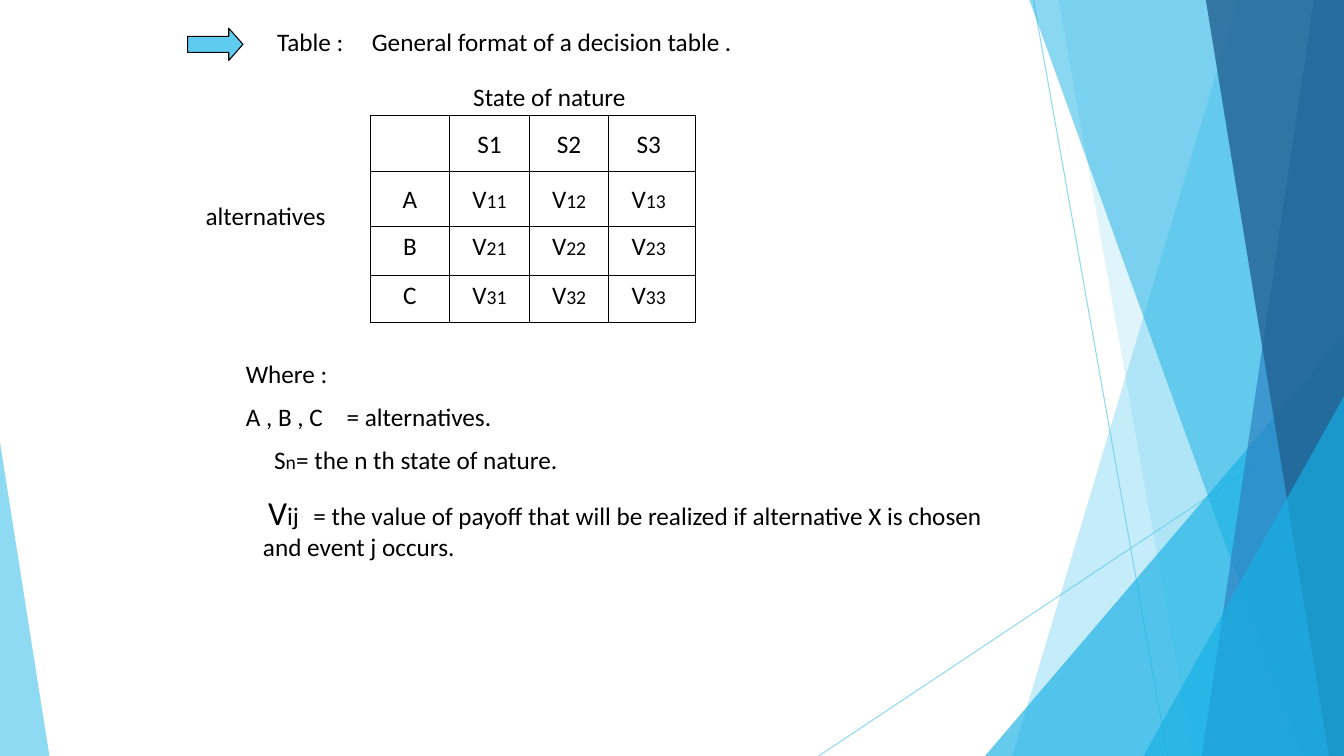
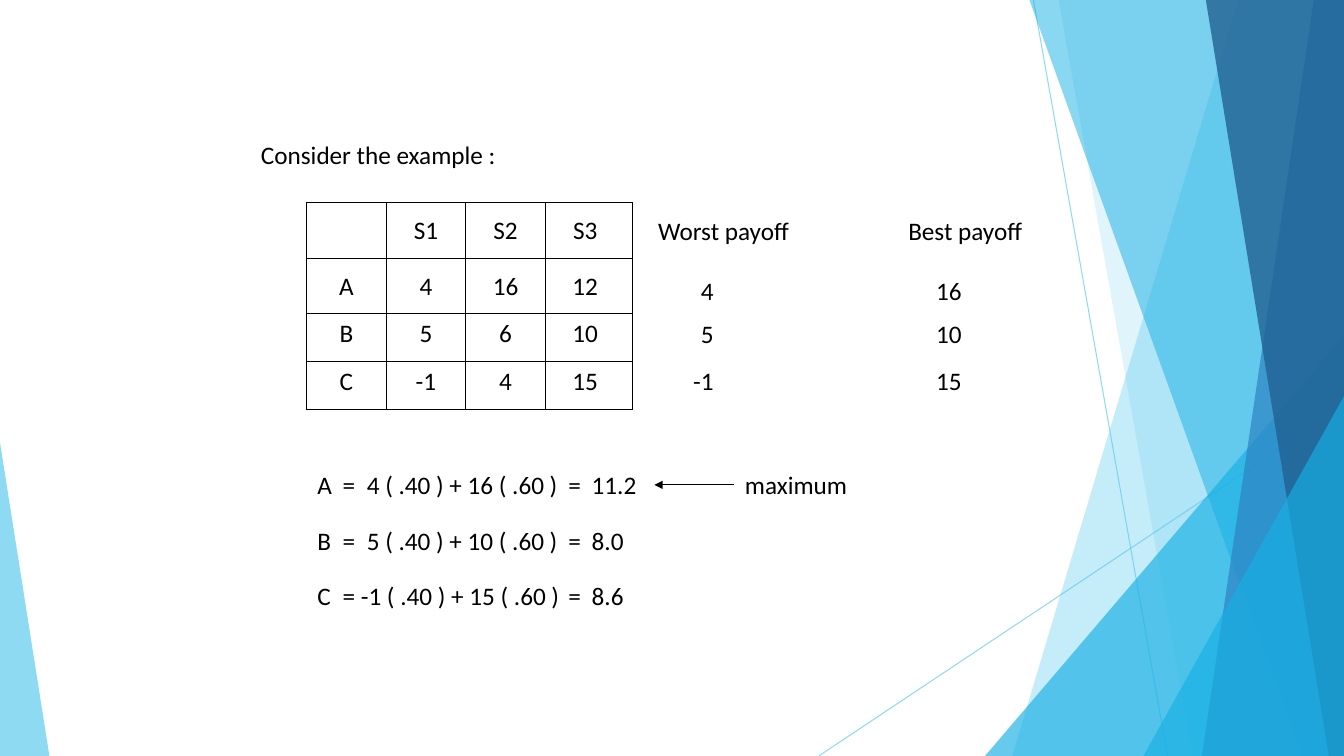
import pptx
import pptx.util
import pptx.dml.color
import pptx.enum.shapes
import pptx.enum.text
import pptx.oxml
import pptx.oxml.ns
from lxml import etree

Inches = pptx.util.Inches
Pt = pptx.util.Pt
RGBColor = pptx.dml.color.RGBColor
SHAPES = pptx.enum.shapes.MSO_SHAPE
STRAIGHT = pptx.enum.shapes.MSO_CONNECTOR.STRAIGHT
CENTER = pptx.enum.text.PP_ALIGN.CENTER
qn = pptx.oxml.ns.qn

SKY = RGBColor(0x5F, 0xCB, 0xEF)
CYAN = RGBColor(0x17, 0xB0, 0xE4)
BLUE = RGBColor(0x2E, 0x83, 0xC3)
NAVY = RGBColor(0x22, 0x62, 0x92)
BLACK = RGBColor(0, 0, 0)
FONT = "Calibri"
BODY, SMALL, LARGE = 18, 14, 24
WIDTH, HEIGHT = 13.33, 7.5


def write(paragraph, runs, tabs=()):
    """Fill a paragraph with (text, size) runs; tabs are (inches, alignment)."""
    if tabs:
        stops = etree.SubElement(paragraph._p.get_or_add_pPr(), qn("a:tabLst"))
        for position, side in tabs:
            etree.SubElement(stops, qn("a:tab"), pos=str(Inches(position)), algn=side)
    for text, size in runs:
        run = paragraph.add_run()
        run.text = text
        run.font.name = FONT
        run.font.size = Pt(size)
        run.font.color.rgb = BLACK


def add_label(slide, left, top, width, text, tabs=()):
    """Add a one-line text box and return its text frame."""
    box = slide.shapes.add_textbox(Inches(left), Inches(top), Inches(width), Inches(0.4))
    box.text_frame.word_wrap = True
    write(box.text_frame.paragraphs[0], [(text, BODY)], tabs)
    return box.text_frame


deck = pptx.Presentation()
deck.slide_width, deck.slide_height = Inches(WIDTH), Inches(HEIGHT)
blank = deck.slide_layouts[6]
format_slide = deck.slides.add_slide(blank)
example_slide = deck.slides.add_slide(blank)

# Facets shared by both slides: drawn once, then moved to the layout
facets = []
for x1, y1, x2, y2 in [(10.25, 0, 11.58, HEIGHT), (WIDTH, 4.03, 8.12, HEIGHT)]:
    ray = format_slide.shapes.add_connector(
        STRAIGHT, Inches(x1), Inches(y1), Inches(x2), Inches(y2))
    ray.line.width = Pt(0.75)
    facets.append((ray, ray.line.fill, SKY, 70))

# A band is (top x, bottom x) up to the right edge;
# a triangle is (left, top, width, apex)
for outline, colour, opacity in [
    ((12.28, 10.04), SKY, 36),
    ((10.5, 11.83), SKY, 20),
    ((9.77, 3.33, 3.56, 1), CYAN, 66),
    ((10.21, 12.91), CYAN, 50),
    ((13.03, 11.92), BLUE, 70),
    ((11.96, 13.18), NAVY, 80),
    ((11.34, 3.93, 1.99, 1), CYAN, 66),
    ((0, 4.39, 0.49, 0), SKY, 70),
]:
    if len(outline) == 2:
        top_x, bottom_x = outline
        builder = format_slide.shapes.build_freeform(Inches(top_x), 0)
        builder.add_line_segments([
            (Inches(WIDTH), 0), (Inches(WIDTH), Inches(HEIGHT)),
            (Inches(bottom_x), Inches(HEIGHT))])
        facet = builder.convert_to_shape()
    else:
        left, top, width, apex = outline
        facet = format_slide.shapes.add_shape(
            SHAPES.ISOSCELES_TRIANGLE, Inches(left), Inches(top),
            Inches(width), Inches(HEIGHT - top))
        facet.adjustments[0] = apex
    facet.shadow.inherit = False
    facet.line.fill.background()
    facets.append((facet, facet.fill, colour, opacity))

for facet, fill, colour, opacity in facets:
    fill.solid()
    fill.fore_color.rgb = colour
    shade = next(facet.element.iter(qn("a:srgbClr")))
    etree.SubElement(shade, qn("a:alpha"), val=str(opacity * 1000))
    if facet.element.tag == qn("p:cxnSp"):
        etree.SubElement(facet.element.spPr, qn("a:effectLst"))
    blank.shapes.element.append(facet.element)

# Decision tables
states = ["S1", "S2", "S3"]
values = [[f"V{row}{column}" for column in (1, 2, 3)] for row in (1, 2, 3)]
payoffs = [["4", "16", "12"], ["5", "6", "10"], ["-1", "4", "15"]]
column_widths = [0.79, 0.79, 0.79, 0.86]
row_heights = [0.55, 0.55, 0.48, 0.47]

for slide, left, top, body in [
    (format_slide, 3.67, 1.15, values),
    (example_slide, 3.04, 2.01, payoffs),
]:
    table = slide.shapes.add_table(
        4, 4, Inches(left), Inches(top),
        Inches(sum(column_widths)), Inches(sum(row_heights))).table
    table.first_row = table.horz_banding = False
    for column, width in zip(table.columns, column_widths):
        column.width = Inches(width)
    for row, height in zip(table.rows, row_heights):
        row.height = Inches(height)
    rows = [[""] + states] + [[name] + line for name, line in zip("ABC", body)]
    for r, line in enumerate(rows):
        for c, text in enumerate(line):
            cell = table.cell(r, c)
            cell.margin_top = Inches(0.13 if r < 2 else 0.05)
            cell.margin_right = Inches(0.17 if c == 3 else 0.1)
            for side in ("lnL", "lnR", "lnT", "lnB"):
                border = etree.SubElement(
                    cell._tc.get_or_add_tcPr(), qn("a:" + side), w=str(Pt(0.75)))
                ink = etree.SubElement(border, qn("a:solidFill"))
                etree.SubElement(ink, qn("a:srgbClr"), val=str(BLACK))
            cell.fill.background()
            paragraph = cell.text_frame.paragraphs[0]
            paragraph.alignment = CENTER
            if text.startswith("V"):
                write(paragraph, [("V", BODY), (text[1:], SMALL)])
            else:
                write(paragraph, [(text, BODY)])

# Slide 1: heading and table captions
pointer = format_slide.shapes.add_shape(
    SHAPES.RIGHT_ARROW, Inches(1.86), Inches(0.28), Inches(0.55), Inches(0.32))
pointer.adjustments[1] = 0.44
pointer.shadow.inherit = False
pointer.fill.solid()
pointer.fill.fore_color.rgb = SKY
pointer.line.color.rgb = BLACK
pointer.line.width = Pt(0.75)

add_label(format_slide, 2.65, 0.21, 8.74,
          "Table :\tGeneral format of a decision table .", [(0.94, "l")])
nature = add_label(format_slide, 4.15, 0.76, 2.6, "State of nature")
nature.paragraphs[0].alignment = CENTER
add_label(format_slide, 1.94, 1.94, 1.58, "alternatives")

# Slide 1: legend, each entry with left margin, first-line indent and space before
legend = add_label(format_slide, 2.34, 3.51, 7.9, "Where :")
for margin, indent, space, runs in [
    (0, 0, 9, [("A , B , C\t= alternatives.", BODY)]),
    (0, 0.28, 9, [("S", BODY), ("n", SMALL), ("\t= the n th state of nature.", BODY)]),
    (0.17, 0.05, 12, [
        ("V", LARGE), ("ij", BODY),
        ("\t= the value of payoff that will be realized if alternative X is chosen "
         "and event j occurs.", BODY)]),
]:
    entry = legend.add_paragraph()
    entry.space_before = Pt(space)
    properties = entry._p.get_or_add_pPr()
    properties.set("marL", str(Inches(margin)))
    properties.set("indent", str(Inches(indent)))
    write(entry, runs, [(0.93, "l")])

# Slide 2: worst and best payoff beside the table
add_label(example_slide, 2.49, 1.33, 5.36, "Consider the example :")
add_label(example_slide, 6.43, 2.09, 4.65, "Worst payoff\tBest payoff", [(2.48, "l")])
for top, worst, best in [(2.68, 4, 16), (3.11, 5, 10), (3.58, -1, 15)]:
    add_label(example_slide, 6.43, top, 4.65, f"\t{worst}\t{best}",
              [(0.55, "r"), (3.01, "r")])

# Slide 2: weighted payoffs
equation_tabs = [(0.25, "l"), (0.49, "l"), (2.49, "l"), (2.72, "l"), (4.24, "l")]
for i, equation in enumerate([
    "A\t=\t4 ( .40 ) + 16 ( .60 )\t=\t11.2\tmaximum",
    "B\t=\t5 ( .40 ) + 10 ( .60 )\t=\t8.0",
    "C\t= -1 ( .40 ) + 15 ( .60 )\t=\t8.6",
]):
    add_label(example_slide, 3.05, 4.61 + 0.55 * i, 9.13, equation, equation_tabs)

arrow = example_slide.shapes.add_connector(
    STRAIGHT, Inches(7.28), Inches(4.81), Inches(6.49), Inches(4.81))
arrow.line.color.rgb = BLACK
arrow.line.width = Pt(0.75)
etree.SubElement(arrow.line._get_or_add_ln(), qn("a:tailEnd"), type="triangle")
etree.SubElement(arrow.element.spPr, qn("a:effectLst"))

deck.save("out.pptx")
